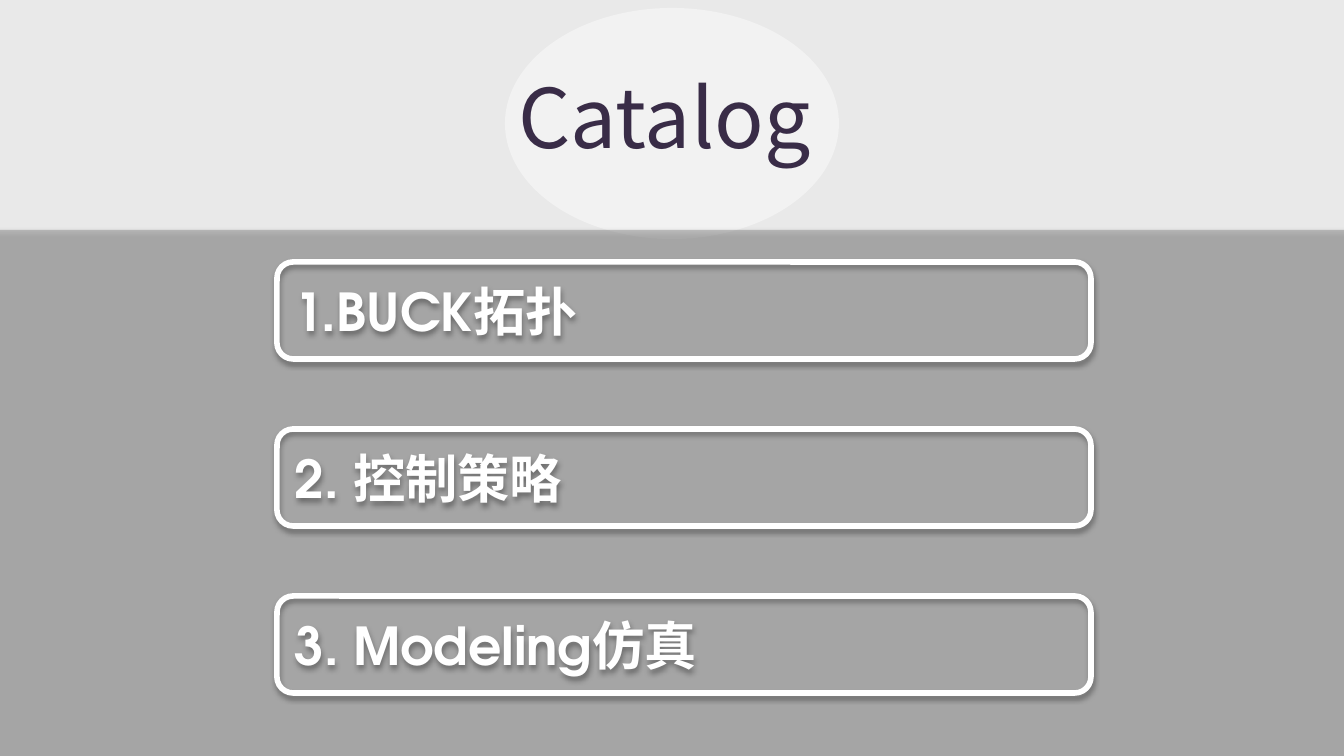
from lxml import etree
from pptx import Presentation
from pptx import util as u
from pptx.dml.color import RGBColor
from pptx.enum import shapes, text
from pptx.oxml.ns import qn

TITLE = "Catalog"
CHAPTERS = ["1.BUCK拓扑", "2. 控制策略", "3. Modeling仿真"]

TITLE_FONT = "Noto Sans CJK SC"
CHAPTER_FONT = "TeX Gyre Adventor"
WHITE = RGBColor(0xFF, 0xFF, 0xFF)
PALE = RGBColor(0xF2, 0xF2, 0xF2)
GRAY = RGBColor(0x80, 0x80, 0x80)
PURPLE = RGBColor(0x39, 0x2C, 0x47)

EMU_PER_PX = 914400 / 134.4
CHAPTER_TOP, CHAPTER_STEP = 262, 167


def px(*lengths):
    return [u.Emu(round(n * EMU_PER_PX)) for n in lengths]


def add_panel(preset, box, fill=None):
    panel = slide.shapes.add_shape(preset, *px(*box))
    panel.shadow.inherit = False
    if fill is None:
        panel.fill.background()
    else:
        panel.fill.solid()
        panel.fill.fore_color.rgb = fill
    panel.line.fill.background()
    return panel


def add_alpha(color, percent):
    etree.SubElement(color, qn("a:alpha"), val=str(percent * 1000))


def set_translucent(panel, percent):
    fill = panel.element.spPr.find(qn("a:solidFill"))
    add_alpha(fill[0], percent)


def add_shadow(panel):
    effects = panel.element.spPr.find(qn("a:effectLst"))
    shadow = etree.SubElement(
        effects, qn("a:outerShdw"), blurRad=str(u.Pt(3.1)),
        dist=str(u.Pt(1.8)), dir="5400000", rotWithShape="0")
    add_alpha(etree.SubElement(shadow, qn("a:srgbClr"), val="000000"), 35)


def write(frame, words, size, font, color, bold, anchor):
    frame.text = words
    frame.word_wrap = True
    frame.auto_size = text.MSO_AUTO_SIZE.NONE
    frame.vertical_anchor = anchor
    paragraph = frame.paragraphs[0]
    paragraph.alignment = text.PP_ALIGN.LEFT
    for run in paragraph.runs:
        run.font.size = u.Pt(size)
        run.font.name = font
        run.font.bold = bold
        run.font.color.rgb = color


prs = Presentation()
prs.slide_width, prs.slide_height = px(1344, 756)
slide = prs.slides.add_slide(prs.slide_layouts[5])

backdrop = add_panel(shapes.MSO_SHAPE.RECTANGLE, (-40, -26, 1425, 808), WHITE)
set_translucent(backdrop, 45)
add_shadow(backdrop)

add_panel(shapes.MSO_SHAPE.OVAL, (505, 8, 334, 231), PALE)

heading = slide.shapes.title
heading.left, heading.top, heading.width, heading.height = px(505, 59, 334, 113)
write(heading.text_frame, TITLE, 44, TITLE_FONT, PURPLE, False,
      text.MSO_ANCHOR.MIDDLE)
slide.shapes.element.append(heading.element)

lower_band = add_panel(shapes.MSO_SHAPE.RECTANGLE, (-40, 230, 1392, 543), GRAY)
set_translucent(lower_band, 45)
add_shadow(lower_band)

for i, chapter in enumerate(CHAPTERS):
    entry = add_panel(shapes.MSO_SHAPE.ROUNDED_RECTANGLE,
                      (277, CHAPTER_TOP + i * CHAPTER_STEP, 814, 97))
    entry.line.color.rgb = WHITE
    entry.line.width = u.Pt(3)
    add_shadow(entry)
    write(entry.text_frame, chapter, 28, CHAPTER_FONT, WHITE, True,
          text.MSO_ANCHOR.MIDDLE)

prs.save("out.pptx")
